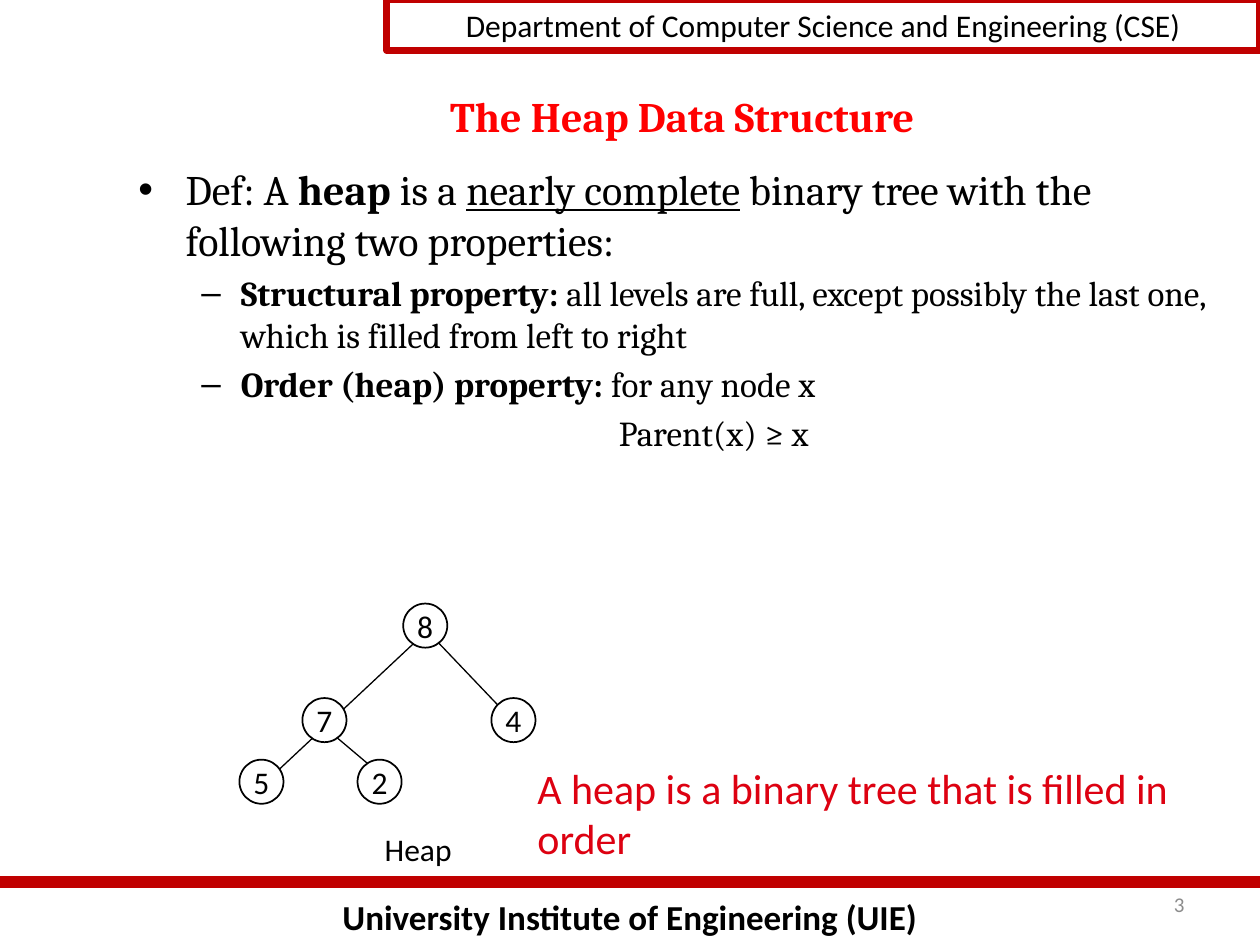
from lxml import etree
from pptx import Presentation
from pptx.dml.color import RGBColor
from pptx.enum.shapes import MSO_CONNECTOR, MSO_SHAPE
from pptx.enum.text import MSO_ANCHOR, PP_ALIGN
from pptx.oxml.ns import qn
from pptx.util import Pt

LEFT, CENTER, RIGHT = PP_ALIGN.LEFT, PP_ALIGN.CENTER, PP_ALIGN.RIGHT
TOP, MIDDLE = MSO_ANCHOR.TOP, MSO_ANCHOR.MIDDLE
STRAIGHT = MSO_CONNECTOR.STRAIGHT
RECT, OVAL = MSO_SHAPE.RECTANGLE, MSO_SHAPE.OVAL

COLORS = {"black": "000000", "white": "FFFFFF", "bar": "C00000",
          "title": "FF0000", "note": "DD0111", "number": "8C8C8C"}
NODE = 25.2


def rgb(name):
    return RGBColor.from_string(COLORS[name])


def add_run(p, text, color="black", **fmt):
    r = p.add_run()
    r.text = text
    r.font.color.rgb = rgb(color)
    for key, value in ({"name": "Calibri", "size": Pt(18)} | fmt).items():
        setattr(r.font, key, value)


def set_text(sp, text, align=CENTER, anchor=TOP, wrap=True, **fmt):
    tf = sp.text_frame
    tf.word_wrap, tf.vertical_anchor = wrap, anchor
    p = tf.paragraphs[0]
    p.alignment = align
    add_run(p, text, **fmt)


def add_text(s, box, text, **fmt):
    set_text(s.shapes.add_textbox(*map(Pt, box)), text, **fmt)


def add_outlined(s, kind, box, line, width):
    sp = s.shapes.add_shape(kind, *map(Pt, box))
    sp.shadow.inherit = False
    sp.fill.solid()
    sp.fill.fore_color.rgb = rgb("white")
    sp.line.color.rgb = rgb(line)
    sp.line.width = Pt(width)
    return sp


def add_line(s, start, end, color, width):
    cx = s.shapes.add_connector(STRAIGHT, *map(Pt, (*start, *end)))
    cx.line.color.rgb = rgb(color)
    cx.line.width = Pt(width)
    etree.SubElement(cx._element.spPr, qn("a:effectLst"))


def set_indent(p, margin, hanging=0, bullet=None):
    pPr = p._p.get_or_add_pPr()
    pPr.set("marL", str(Pt(margin)))
    pPr.set("indent", str(Pt(-hanging)))
    if bullet:
        etree.SubElement(pPr, qn("a:buFont"), typeface="Arial")
        etree.SubElement(pPr, qn("a:buChar"), char=bullet)


def add_header(s, box):
    sp = add_outlined(s, RECT, box, "bar", 4)
    set_text(sp, "Department of Computer Science and Engineering (CSE)")


def add_footer(s, box):
    x, y, w, h = box
    add_text(s, (x, y + 4.3, w, h - 4.3), "University Institute of Engineering (UIE)",
             size=Pt(20), bold=True)
    add_line(s, (x, y), (x + w, y), "bar", 7)
    add_text(s, (x + w - 204, y, 168, 25.2), "3", align=RIGHT, anchor=MIDDLE,
             size=Pt(12), color="number")


def add_body(s, box):
    tf = s.shapes.add_textbox(*map(Pt, box)).text_frame
    tf.word_wrap = True
    bold, under = {"bold": True}, {"underline": True}
    # size, space before, (margin, hanging, bullet), runs
    paragraphs = [
        (24, 4.8, (27, 27, "•"), [
            ("Def: A ", {}), ("heap", bold), (" is a ", {}), ("nearly complete", under),
            (" binary tree with the following two properties:", {})]),
        (20, 4, (58.5, 22.5, "–"), [
            ("Structural property:", bold),
            (" all levels are full, except possibly the last one, "
             "which is filled from left to right", {})]),
        (20, 4, (58.5, 22.5, "–"), [
            ("Order (heap) property:", bold), (" for any node x", {})]),
        (20, 4, (274.5,), [("Parent(x) ≥ x", {})]),
    ]
    for i, (size, before, indent, runs) in enumerate(paragraphs):
        p = tf.add_paragraph() if i else tf.paragraphs[0]
        p.alignment, p.space_before = LEFT, Pt(before)
        set_indent(p, *indent)
        for text, fmt in runs:
            add_run(p, text, name="Cambria", size=Pt(size), **fmt)


def add_tree(s, box):
    x, y, w, h = box
    # Edges run behind the nodes; the long one links 8, 7 and 5
    edges = [((8.6, 108), (110.9, 12.2)), ((155.5, 66.2), (98.6, 6.5)),
             ((55.4, 76.3), (74.2, 92.2))]
    for (x1, y1), (x2, y2) in edges:
        add_line(s, (x + x1, y + y1), (x + x2, y + y2), "black", 0.75)
    nodes = {"8": (93.6, 0), "7": (36, 54), "4": (144, 54),
             "5": (0, 89.2), "2": (67.5, 89.2)}
    for key, (dx, dy) in nodes.items():
        sp = add_outlined(s, OVAL, (x + dx, y + dy, NODE, NODE), "black", 1)
        set_text(sp, key, anchor=MIDDLE, wrap=False)
    # Caption
    add_text(s, (x + 73.4, y + h - 28.8, 57.6, 28.8), "Heap", wrap=False)


def main():
    prs = Presentation()
    prs.slide_width, prs.slide_height = Pt(720), Pt(540)
    s = prs.slides.add_slide(prs.slide_layouts[6])
    add_footer(s, (0, 504, 720, 36))
    add_header(s, (221, 0, 499, 28.8))
    add_text(s, (77.8, 36, 624, 60), "The Heap Data Structure", anchor=MIDDLE,
             name="Cambria", size=Pt(24), bold=True, color="title")
    add_body(s, (72, 90, 630, 402))
    add_tree(s, (136.8, 344.9, 169.2, 154.8))
    add_text(s, (300, 432, 420, 65.5), "A heap is a binary tree that is filled in order",
             align=LEFT, size=Pt(24), color="note")
    prs.save("out.pptx")


if __name__ == "__main__":
    main()
